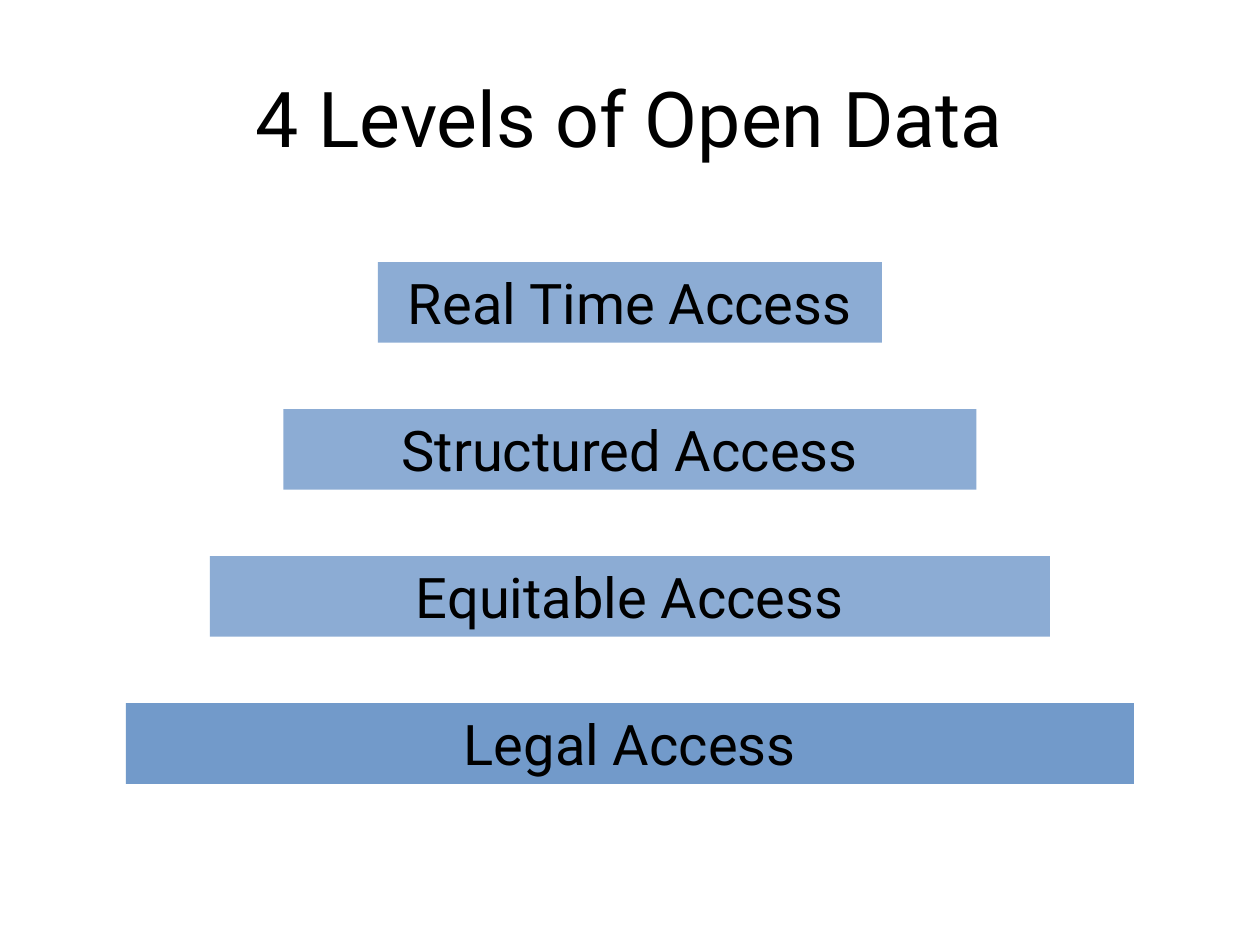
import pptx
import pptx.dml.color
import pptx.enum.shapes
import pptx.enum.text
import pptx.oxml
import pptx.oxml.ns
import pptx.util

TITLE = "4 Levels of Open Data"
# Level, width as a share of the slide, fill opacity in percent
LEVELS = [
    ("Real Time Access", 0.4, 65),
    ("Structured Access", 0.55, 65),
    ("Equitable Access", 2 / 3, 65),
    ("Legal Access", 0.8, 80),
]
COLORS = {"background": "FFFFFF", "bar": "4F81BD", "text": "000000"}
FONT = "Roboto"
WIDTH, HEIGHT = pptx.util.Inches(10), pptx.util.Inches(7.5)
FIRST_TOP = pptx.util.Inches(2.08)
ROW_PITCH = pptx.util.Inches(1.167)
BAR_HEIGHT = pptx.util.Inches(0.64)


def rgb(name):
    return pptx.dml.color.RGBColor.from_string(COLORS[name])


def write(frame, text, size, anchor):
    frame.text = text
    frame.word_wrap = True
    frame.vertical_anchor = anchor
    paragraph = frame.paragraphs[0]
    paragraph.alignment = pptx.enum.text.PP_ALIGN.CENTER
    font = paragraph.runs[0].font
    font.name = FONT
    font.size = pptx.util.Pt(size)
    font.color.rgb = rgb("text")
    return paragraph


def set_opacity(shape, percent):
    color = shape.fill._xPr.find(".//" + pptx.oxml.ns.qn("a:srgbClr"))
    alpha = pptx.oxml.parse_xml(
        f'<a:alpha {pptx.oxml.ns.nsdecls("a")} val="{percent * 1000}"/>'
    )
    color.append(alpha)


def add_level(slide, row, level, share, opacity):
    width = int(WIDTH * share)
    bar = slide.shapes.add_shape(
        pptx.enum.shapes.MSO_SHAPE.RECTANGLE,
        (WIDTH - width) // 2, FIRST_TOP + row * ROW_PITCH, width, BAR_HEIGHT,
    )
    bar.shadow.inherit = False
    bar.fill.solid()
    bar.fill.fore_color.rgb = rgb("bar")
    set_opacity(bar, opacity)
    bar.line.fill.background()
    label = write(bar.text_frame, level, 32, pptx.enum.text.MSO_ANCHOR.TOP)
    label.space_after = pptx.util.Pt(24)
    bar.text_frame.auto_size = pptx.enum.text.MSO_AUTO_SIZE.SHAPE_TO_FIT_TEXT


def main():
    deck = pptx.Presentation()
    deck.slide_width, deck.slide_height = WIDTH, HEIGHT
    slide = deck.slides.add_slide(deck.slide_layouts[6])
    slide.background.fill.solid()
    slide.background.fill.fore_color.rgb = rgb("background")

    heading = slide.shapes.add_textbox(
        int(WIDTH * 0.05), int(HEIGHT * 0.04), int(WIDTH * 0.9), pptx.util.Inches(1.25)
    )
    write(heading.text_frame, TITLE, 44, pptx.enum.text.MSO_ANCHOR.MIDDLE)

    for row, (level, share, opacity) in enumerate(LEVELS):
        add_level(slide, row, level, share, opacity)

    deck.save("out.pptx")


if __name__ == "__main__":
    main()
